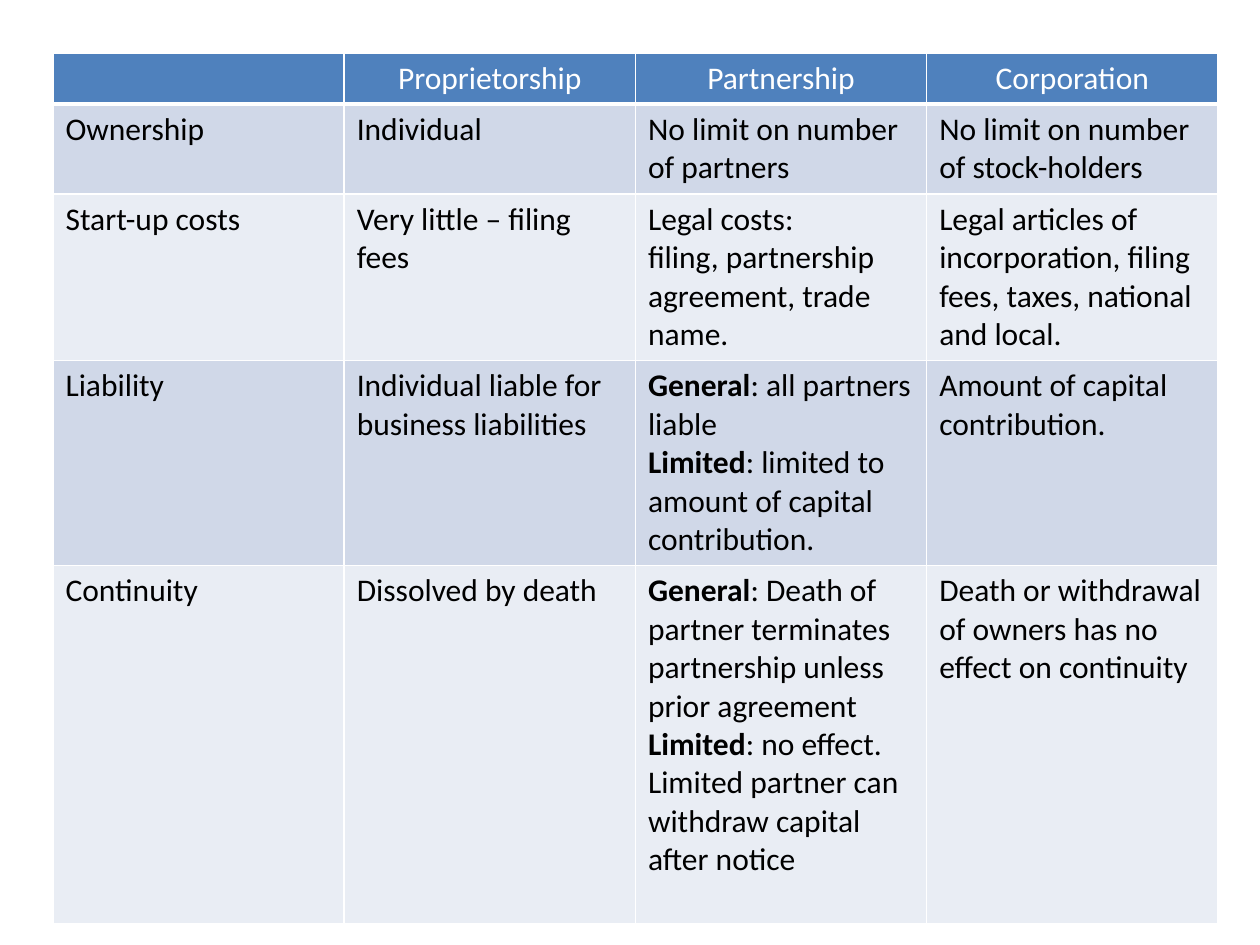
from lxml import etree
from pptx import Presentation
from pptx.dml.color import RGBColor
from pptx.enum.text import PP_ALIGN
from pptx.oxml.ns import qn
from pptx.util import Pt

CENTER, LEFT = PP_ALIGN.CENTER, PP_ALIGN.LEFT
PX = 914400 / 126
BLANK_LAYOUT = 6
COLORS = {
    "header": "4F81BD",
    "odd": "D0D8E8",
    "even": "E9EDF4",
    "line": "FFFFFF",
    "header_text": "FFFFFF",
    "text": "000000",
}
HEADINGS = ["", "Proprietorship", "Partnership", "Corporation"]
ASPECTS = [
    ["Ownership", "Individual", "No limit on number of partners",
     "No limit on number of stock-holders"],
    ["Start-up costs", "Very little – filing fees",
     "Legal costs:\nfiling, partnership agreement, trade name.",
     "Legal articles of incorporation, filing fees, taxes, national and local."],
    ["Liability", "Individual liable for business liabilities",
     "General: all partners liable\n"
     "Limited: limited to amount of capital contribution.",
     "Amount of capital contribution."],
    ["Continuity", "Dissolved by death",
     "General: Death of partner terminates partnership unless prior agreement\n"
     "Limited: no effect. Limited partner can withdraw capital after notice",
     "Death or withdrawal of owners has no effect on continuity"],
]
ROW_HEIGHTS = [50, 90, 166, 205, 358]
BOLD_TERMS = ("General", "Limited")


def px(length):
    """Turn pixels into EMU."""
    return round(length * PX)


def set_borders(cell, bottom_width):
    """Give a cell white borders, with its own width at the bottom."""
    properties = cell._tc.get_or_add_tcPr()
    for side, width in (("L", 1), ("R", 1), ("T", 1), ("B", bottom_width)):
        line = etree.SubElement(properties, qn(f"a:ln{side}"), w=str(Pt(width)))
        fill = etree.SubElement(line, qn("a:solidFill"))
        etree.SubElement(fill, qn("a:srgbClr"), val=COLORS["line"])


def write_paragraph(paragraph, line, color, alignment):
    """Write one line of text, with a leading bold term where there is one."""
    paragraph.alignment = alignment
    paragraph.font.size = Pt(18)
    paragraph.font.name = "Calibri"
    term, colon, rest = line.partition(":")
    parts = [(term, True), (colon + rest, False)] if term in BOLD_TERMS else [(line, False)]
    for text, bold in parts:
        run = paragraph.add_run()
        run.text = text
        run.font.bold = bold
        run.font.color.rgb = RGBColor.from_string(color)


def fill_cell(cell, text, fill, color, alignment, bottom_width):
    """Style a cell and write its lines as paragraphs."""
    set_borders(cell, bottom_width)
    cell.fill.solid()
    cell.fill.fore_color.rgb = RGBColor.from_string(fill)
    frame = cell.text_frame
    for index, line in enumerate(text.splitlines()):
        paragraph = frame.add_paragraph() if index else frame.paragraphs[0]
        write_paragraph(paragraph, line, color, alignment)


def add_comparison(slide, left, top, width):
    """Place the table that compares the forms of business."""
    rows = [HEADINGS] + ASPECTS
    table = slide.shapes.add_table(
        len(rows), len(HEADINGS), px(left), px(top), px(width), px(sum(ROW_HEIGHTS))
    ).table
    for column in table.columns:
        column.width = px(width / len(HEADINGS))
    for row_index, (texts, height) in enumerate(zip(rows, ROW_HEIGHTS)):
        table.rows[row_index].height = px(height)
        if row_index == 0:
            style = COLORS["header"], COLORS["header_text"], CENTER, 3
        else:
            band = "odd" if row_index % 2 else "even"
            style = COLORS[band], COLORS["text"], LEFT, 1
        for column_index, text in enumerate(texts):
            fill_cell(table.cell(row_index, column_index), text, *style)


def main():
    """Build and save the slide."""
    deck = Presentation()
    deck.slide_width, deck.slide_height = px(1260), px(945)
    slide = deck.slides.add_slide(deck.slide_layouts[BLANK_LAYOUT])
    add_comparison(slide, left=53, top=53, width=1165)
    deck.save("out.pptx")


if __name__ == "__main__":
    main()
